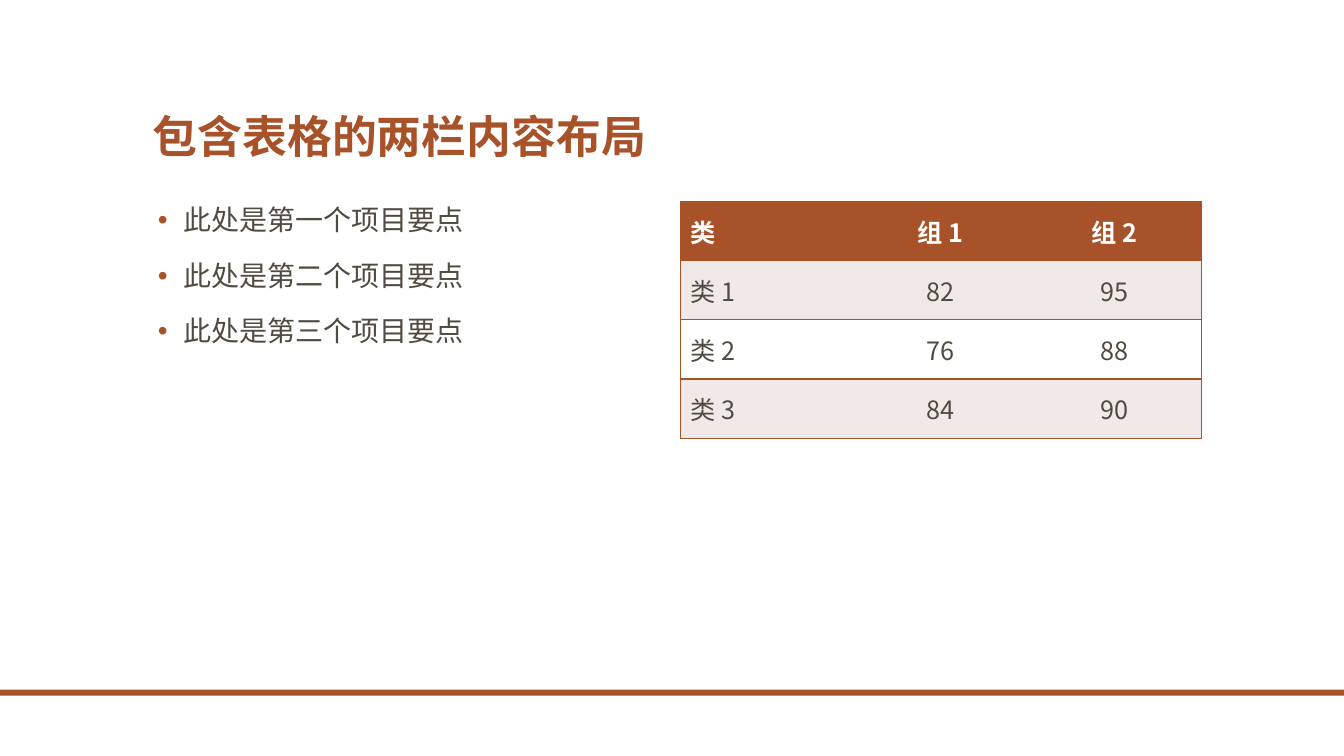
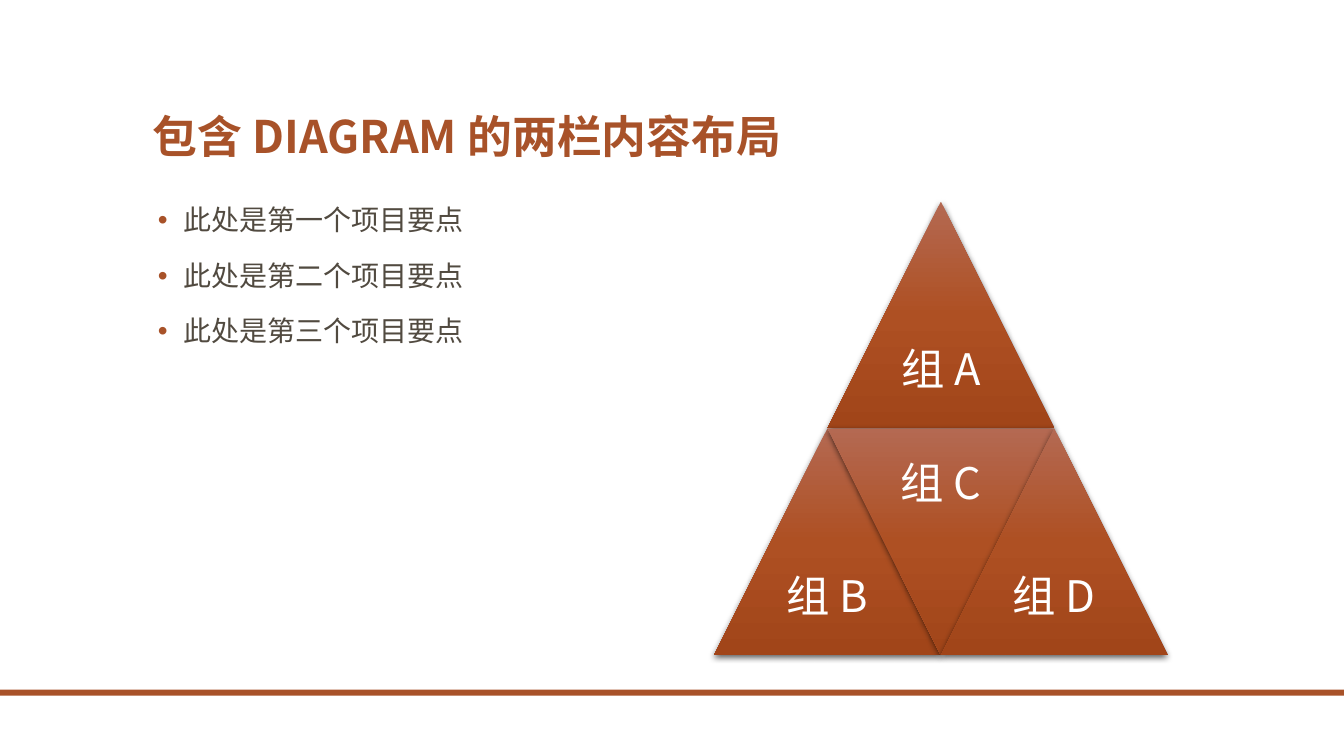
from lxml.etree import SubElement
from pptx import Presentation
from pptx.dml.color import RGBColor
from pptx.enum.shapes import MSO_SHAPE
from pptx.enum.text import MSO_ANCHOR, PP_ALIGN
from pptx.oxml.ns import qn
from pptx.util import Cm, Pt

COLORS = {
    "rust": "A85229",
    "ink": "514A40",
    "white": "FFFFFF",
    "tint": "F1E9E8",
    "shadow": "000000",
}
PYRAMID_GRADIENT = [(0, "B46952"), (50, "AE5023"), (100, "A14519")]
FONT = "Noto Sans CJK SC"

# Shared grid, in centimetres
SLIDE_WIDTH, SLIDE_HEIGHT = 33.87, 19.05
MARGIN, COLUMN_TOP = 3.6, 5.08
COLUMN_WIDTH, COLUMN_HEIGHT = 13.12, 11.43
RIGHT_COLUMN = 17.15


def rgb(name):
    return RGBColor.from_string(COLORS[name])


def add_xml(parent, tag, **attributes):
    return SubElement(parent, qn(tag), {k: str(v) for k, v in attributes.items()})


def add_color(parent, value, **modifiers):
    color = add_xml(parent, "a:srgbClr", val=value)
    for tag, amount in modifiers.items():
        add_xml(color, f"a:{tag}", val=amount)


def write(paragraph, text, size=20, color="ink", bold=False,
          align=PP_ALIGN.LEFT, line_spacing=None, before=0):
    paragraph.alignment = align
    paragraph.space_before = Pt(before)
    if line_spacing:
        paragraph.line_spacing = line_spacing
    run = paragraph.add_run()
    run.text = text
    run.font.name = FONT
    run.font.size = Pt(size)
    run.font.bold = bold
    run.font.color.rgb = rgb(color)
    add_xml(run.font._element, "a:ea", typeface=FONT)


class Deck:
    """Holds the style and the slide being built."""

    def __init__(self):
        self.presentation = Presentation()
        self.presentation.slide_width = Cm(SLIDE_WIDTH)
        self.presentation.slide_height = Cm(SLIDE_HEIGHT)
        self.slide = None

    def add_slide(self, heading):
        layout = self.presentation.slide_layouts[5]
        self.slide = self.presentation.slides.add_slide(layout)
        title = self.slide.shapes.title
        title.left, title.top = Cm(MARGIN), Cm(1.05)
        title.width, title.height = Cm(26.67), Cm(3.17)
        title.text_frame.word_wrap = True
        title.text_frame.vertical_anchor = MSO_ANCHOR.BOTTOM
        write(title.text_frame.paragraphs[0], heading, size=32, color="rust", bold=True)
        self.add_footer_band()

    def add_footer_band(self):
        band = self.slide.shapes.add_shape(
            MSO_SHAPE.RECTANGLE, 0, Cm(17.38), Cm(SLIDE_WIDTH), Cm(0.15))
        band.shadow.inherit = False
        band.fill.solid()
        band.fill.fore_color.rgb = rgb("rust")
        band.line.fill.background()

    def add_bullets(self, points):
        box = self.slide.shapes.add_textbox(
            Cm(MARGIN), Cm(COLUMN_TOP), Cm(COLUMN_WIDTH), Cm(COLUMN_HEIGHT))
        frame = box.text_frame
        frame.word_wrap = True
        for i, point in enumerate(points):
            paragraph = frame.add_paragraph() if i else frame.paragraphs[0]
            write(paragraph, point, line_spacing=0.9, before=18)
            properties = paragraph._p.get_or_add_pPr()
            properties.set("marL", str(Cm(0.77)))
            properties.set("indent", str(Cm(-0.64)))
            add_color(add_xml(properties, "a:buClr"), COLORS["rust"])
            add_xml(properties, "a:buFont", typeface="Arial")
            add_xml(properties, "a:buChar", char="•")

    def add_table(self, rows, row_height=1.49):
        column_count = len(rows[0])
        table = self.slide.shapes.add_table(
            len(rows), column_count, Cm(RIGHT_COLUMN), Cm(COLUMN_TOP),
            Cm(COLUMN_WIDTH), Cm(row_height * len(rows))).table
        for r, values in enumerate(rows):
            for c, value in enumerate(values):
                cell = table.cell(r, c)
                header = r == 0
                self.set_borders(cell, left=c == 0, right=c == column_count - 1)
                cell.fill.solid()
                cell.fill.fore_color.rgb = rgb(
                    "rust" if header else "tint" if r % 2 else "white")
                cell.vertical_anchor = MSO_ANCHOR.MIDDLE
                write(cell.text_frame.paragraphs[0], value, size=18, bold=header,
                      color="white" if header else "ink",
                      align=PP_ALIGN.CENTER if c else PP_ALIGN.LEFT)

    @staticmethod
    def set_borders(cell, left, right):
        properties = cell._tc.get_or_add_tcPr()
        for side, visible in (("L", left), ("R", right), ("T", True), ("B", True)):
            line = add_xml(properties, f"a:ln{side}", w=Pt(1))
            if visible:
                add_color(add_xml(line, "a:solidFill"), COLORS["rust"])
            else:
                add_xml(line, "a:noFill")

    def add_pyramid_part(self, label, left, top, side, inverted=False):
        # Both presets keep their text in the wide half of the triangle
        preset = MSO_SHAPE.FLOWCHART_MERGE if inverted else MSO_SHAPE.ISOSCELES_TRIANGLE
        part = self.slide.shapes.add_shape(preset, Cm(left), Cm(top), Cm(side), Cm(side))
        part.line.fill.background()
        self.set_gradient(part)
        self.set_shadow(part)
        frame = part.text_frame
        frame.word_wrap = True
        frame.vertical_anchor = MSO_ANCHOR.MIDDLE
        frame.margin_left = frame.margin_right = Cm(0.33)
        frame.margin_top = frame.margin_bottom = Cm(0.33)
        write(frame.paragraphs[0], label, size=31, color="white",
              align=PP_ALIGN.CENTER, line_spacing=0.9)

    @staticmethod
    def set_gradient(shape):
        shape.fill.gradient()
        shape.fill.gradient_angle = 270
        stops = shape._element.spPr.find(f".//{qn('a:gsLst')}")
        for stop in list(stops):
            stops.remove(stop)
        for position, value in PYRAMID_GRADIENT:
            add_color(add_xml(stops, "a:gs", pos=position * 1000), value)

    @staticmethod
    def set_shadow(shape):
        shape.shadow.inherit = False
        effects = shape._element.spPr.find(qn("a:effectLst"))
        shadow = add_xml(effects, "a:outerShdw", blurRad=Pt(4.5), dist=Pt(1.5),
                         dir=90 * 60000, algn="ctr", rotWithShape=0)
        add_color(shadow, COLORS["shadow"], alpha=63000)

    def add_pyramid(self, labels):
        side = COLUMN_HEIGHT / 2
        left = RIGHT_COLUMN + (COLUMN_WIDTH - 2 * side) / 2
        # Offsets in triangle sides: apex, then the lower row
        offsets = [(0.5, 0), (0, 1), (0.5, 1), (1, 1)]
        for label, (across, down) in zip(labels, offsets):
            self.add_pyramid_part(label, left + across * side, COLUMN_TOP + down * side,
                                  side, inverted=(across, down) == (0.5, 1))


def main():
    deck = Deck()
    points = [f"此处是第{number}个项目要点" for number in "一二三"]

    # Bullets and table
    deck.add_slide("包含表格的两栏内容布局")
    deck.add_bullets(points)
    deck.add_table([
        ("类", "组 1", "组 2"),
        ("类 1", "82", "95"),
        ("类 2", "76", "88"),
        ("类 3", "84", "90"),
    ])

    # Bullets and pyramid
    deck.add_slide("包含 DIAGRAM 的两栏内容布局")
    deck.add_bullets(points)
    deck.add_pyramid([f"组 {letter}" for letter in "ABCD"])

    deck.presentation.save("out.pptx")


if __name__ == "__main__":
    main()
